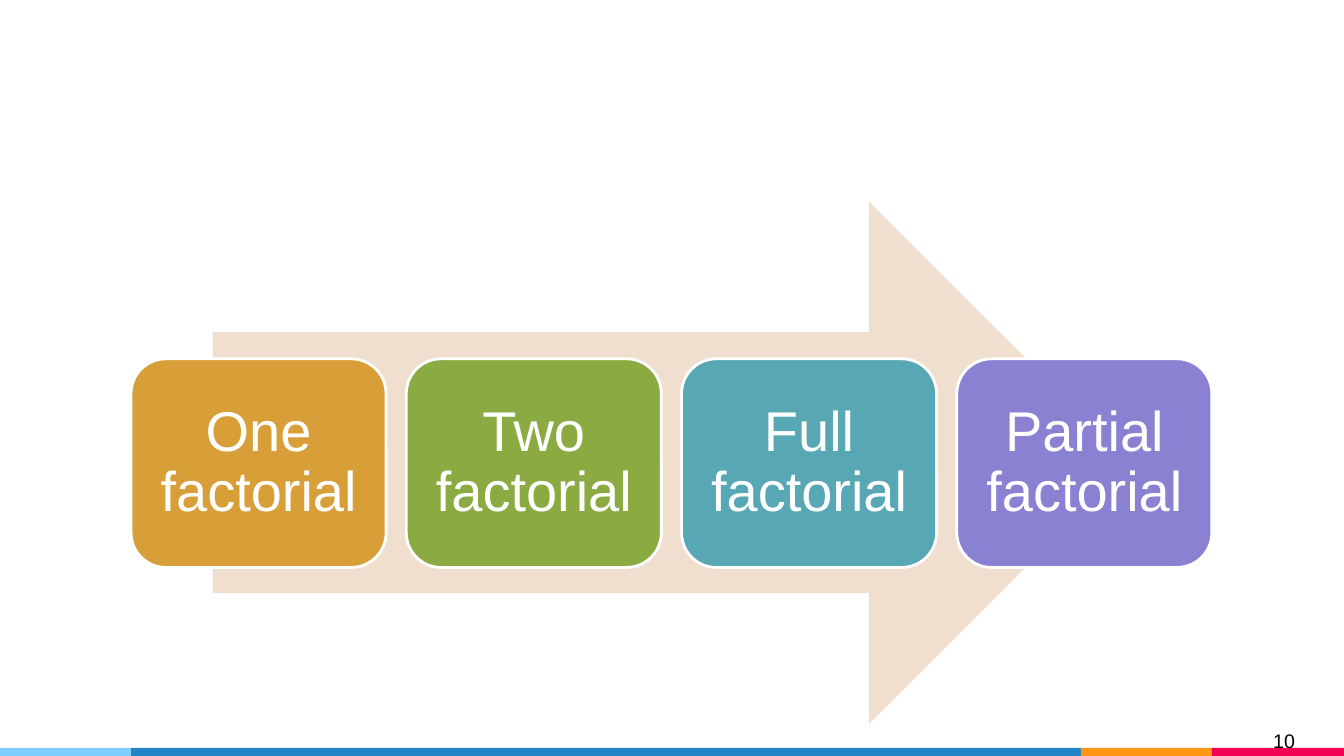
import pptx
import pptx.util
import pptx.dml.color
import pptx.enum.shapes
import pptx.enum.text

Inches = pptx.util.Inches
Pt = pptx.util.Pt
SHAPES = pptx.enum.shapes.MSO_SHAPE

DESIGNS = [
    ("One factorial", "D89F39"),
    ("Two factorial", "8BAB42"),
    ("Full factorial", "57A7B5"),
    ("Partial factorial", "8B81D2"),
]
FOOTER_BANDS = [(1.3, "7ECEFD"), (9.42, "2185C5"), (1.3, "FF9715"), (1.31, "F20253")]
PAGE_NUMBER = "10"
ARROW_COLOUR = "F0DFCE"
CARD_LEFT, CARD_STEP = 1.3, 2.73


def rgb(value):
    return pptx.dml.color.RGBColor.from_string(value)


def add_filled(slide, preset, left, top, width, height, colour, outline=None):
    shape = slide.shapes.add_shape(
        preset, Inches(left), Inches(top), Inches(width), Inches(height))
    shape.shadow.inherit = False
    shape.fill.solid()
    shape.fill.fore_color.rgb = rgb(colour)
    if outline:
        shape.line.color.rgb = rgb(outline)
        shape.line.width = Pt(2)
    else:
        shape.line.fill.background()
    return shape


def write(shape, text, size, colour, inset, align, anchor, spacing):
    frame = shape.text_frame
    frame_format = {"word_wrap": True, "vertical_anchor": anchor}
    for side in ("left", "top", "right", "bottom"):
        frame_format["margin_" + side] = Inches(inset)
    for name, value in frame_format.items():
        setattr(frame, name, value)
    paragraph = frame.paragraphs[0]
    paragraph.alignment = align
    paragraph.line_spacing = spacing
    run = paragraph.add_run()
    run.text = text
    for name, value in {"name": "Arial", "size": Pt(size)}.items():
        setattr(run.font, name, value)
    run.font.color.rgb = rgb(colour)


def main():
    deck = pptx.Presentation()
    deck.slide_width, deck.slide_height = Inches(13.33), Inches(7.5)
    slide = deck.slides.add_slide(deck.slide_layouts[6])
    align, anchor = pptx.enum.text.PP_ALIGN, pptx.enum.text.MSO_ANCHOR

    band_left = 0
    for width, colour in FOOTER_BANDS:
        add_filled(slide, SHAPES.RECTANGLE, band_left, 7.42, width, 0.11, colour)
        band_left += width

    page = slide.shapes.add_textbox(Inches(12.53), Inches(7.13), Inches(0.8), Inches(0.46))
    write(page, PAGE_NUMBER, 14, "000000", 0.1, align.LEFT, anchor.TOP, 1.0)

    add_filled(slide, SHAPES.RIGHT_ARROW, 2.11, 2, 9.1, 5.18, ARROW_COLOUR)

    for index, (design, colour) in enumerate(DESIGNS):
        card = add_filled(slide, SHAPES.ROUNDED_RECTANGLE, CARD_LEFT + index * CARD_STEP,
                          3.56, 2.53, 2.07, colour, "FFFFFF")
        write(card, design, 40, "FFFFFF", 0.17, align.CENTER, anchor.MIDDLE, 0.9)

    deck.save("out.pptx")


if __name__ == "__main__":
    main()
